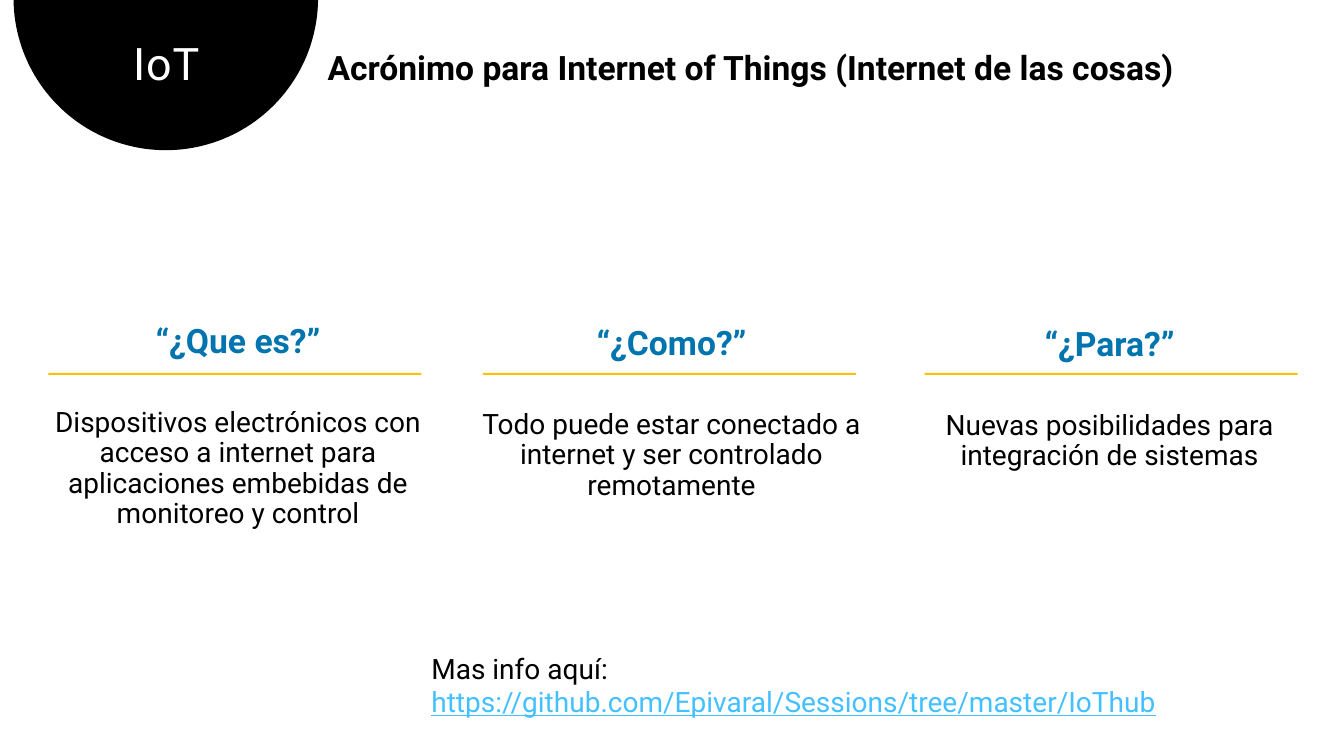
"""Build a slide that explains IoT in three columns."""
import math

from pptx import Presentation, util as u
from pptx.dml.color import RGBColor
from pptx.enum import shapes, text

presentation = Presentation()
presentation.slide_width = u.Inches(13.33)
presentation.slide_height = u.Inches(7.5)
slide = presentation.slides.add_slide(presentation.slide_layouts[6])
column = presentation.slide_width / 100
row = presentation.slide_height / 100

BLACK, WHITE, BLUE, GOLD, SKY = "000000", "FFFFFF", "0074AF", "FFC000", "43C0FF"


def paint(shape, color):
    shape.fill.solid()
    shape.fill.fore_color.rgb = RGBColor.from_string(color)
    shape.line.fill.background()
    shape.shadow.inherit = False


def write(area, paragraphs):
    left, top, width, height = area
    box = slide.shapes.add_textbox(
        int(left * column), int(top * row), int(width * column), int(height * row))
    box.text_frame.word_wrap = True
    for number, (layout, runs) in enumerate(paragraphs):
        paragraph = box.text_frame.paragraphs[0] if number == 0 else box.text_frame.add_paragraph()
        for name, value in layout.items():
            setattr(paragraph, name, value)
        for position, (words, color, style) in enumerate(runs):
            if position:
                paragraph.add_line_break()
            run = paragraph.add_run()
            run.text = words
            run.font.name = "Roboto"
            run.font.color.rgb = RGBColor.from_string(color)
            for name, value in style.items():
                setattr(run.font, name, value)
    return box


center_x, center_y, radius = 12.34 * column, -0.27 * row, 11.33 * column
start = math.asin(-center_y / radius)
angles = [start + (math.pi - 2 * start) * step / 90 for step in range(91)]
arc = [(int(center_x + radius * math.cos(angle)), int(center_y + radius * math.sin(angle)))
       for angle in angles]
builder = slide.shapes.build_freeform(*arc[0])
builder.add_line_segments(arc[1:], close=True)
paint(builder.convert_to_shape(), BLACK)

tight = {"line_spacing": 0.9}
centered = {**tight, "alignment": text.PP_ALIGN.CENTER}
heading_layout = {**centered, "space_after": u.Pt(24)}
detail_layout = {**centered, "space_before": u.Pt(10), "space_after": u.Pt(12)}
heading_style = {"size": u.Pt(24), "bold": True}
plain_style = {"size": u.Pt(20)}

title = write((2.63, 4.93, 19.5, 7.87), [(centered, [("IoT", WHITE, {"size": u.Pt(32)})])])
title.text_frame.paragraphs[0].runs[0].font._element.set("spc", "60")
write((23.63, 6.13, 74.49, 6.13), [
    (tight, [("Acrónimo para Internet of Things (Internet de las cosas)", BLACK, heading_style)])])

topics = [
    ((2.48, 42.27, 30.46, 28.67), 3.6, "“¿Que es?”",
     "Dispositivos electrónicos con acceso a internet para aplicaciones embebidas de monitoreo y control"),
    ((34.21, 42.53, 31.51, 24.67), 35.93, "“¿Como?”",
     "Todo puede estar conectado a internet y ser controlado remotamente"),
    ((67.07, 42.67, 30.98, 20.67), 68.79, "“¿Para?”",
     "Nuevas posibilidades para integración de sistemas"),
]
for area, rule_left, heading, detail in topics:
    write(area, [(heading_layout, [(heading, BLUE, heading_style)]),
                 (detail_layout, [(detail, BLACK, plain_style)])])
    rule = slide.shapes.add_shape(
        shapes.MSO_SHAPE.RECTANGLE, int(rule_left * column), int(49.33 * row),
        int(27.76 * column), int(0.27 * row))
    paint(rule, GOLD)

write((31.36, 85.47, 68.64, 5.87), [({}, [
    ("Mas info aquí:", BLACK, plain_style),
    ("https://github.com/Epivaral/Sessions/tree/master/IoThub", SKY,
     {**plain_style, "underline": True})])])

presentation.save("out.pptx")
